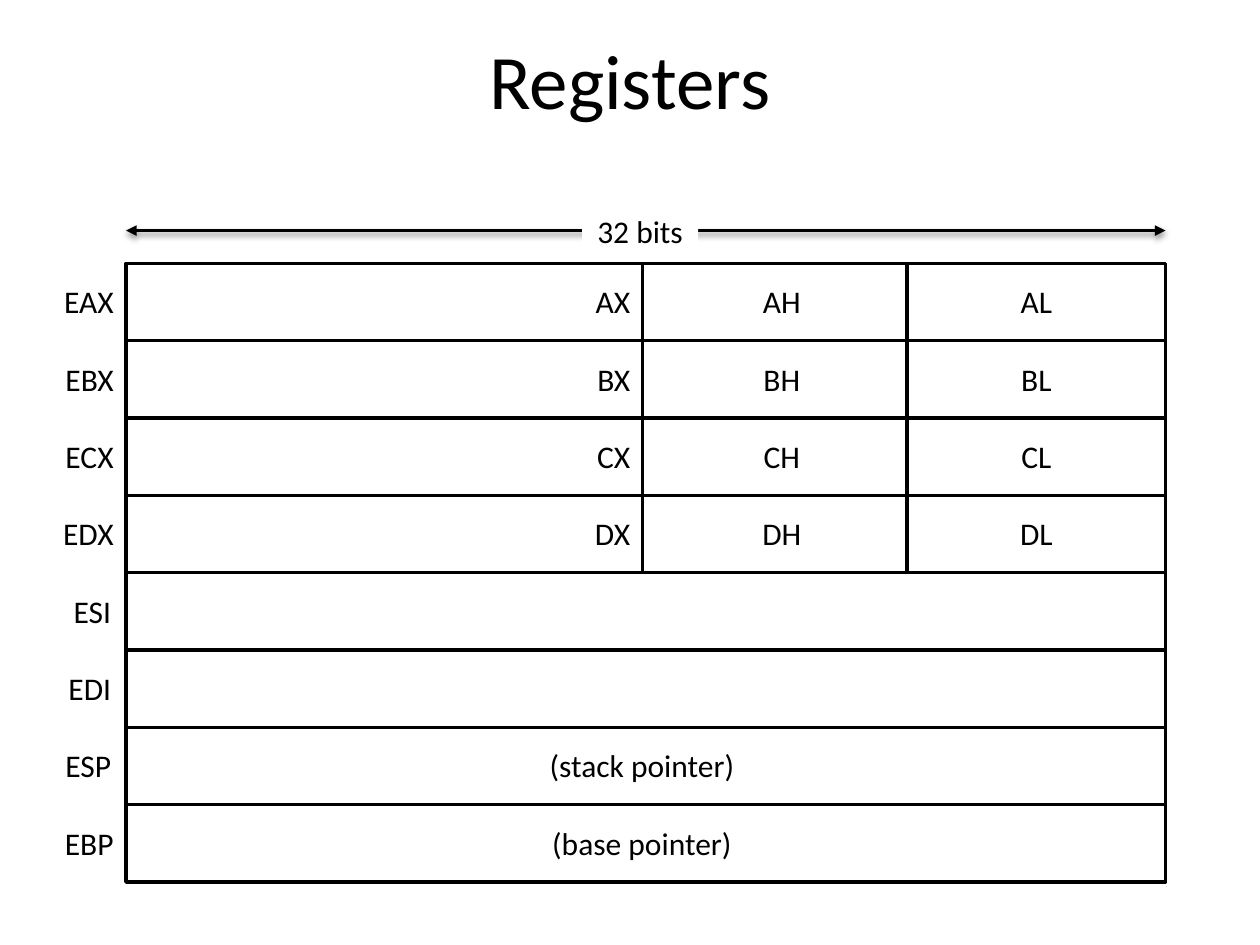
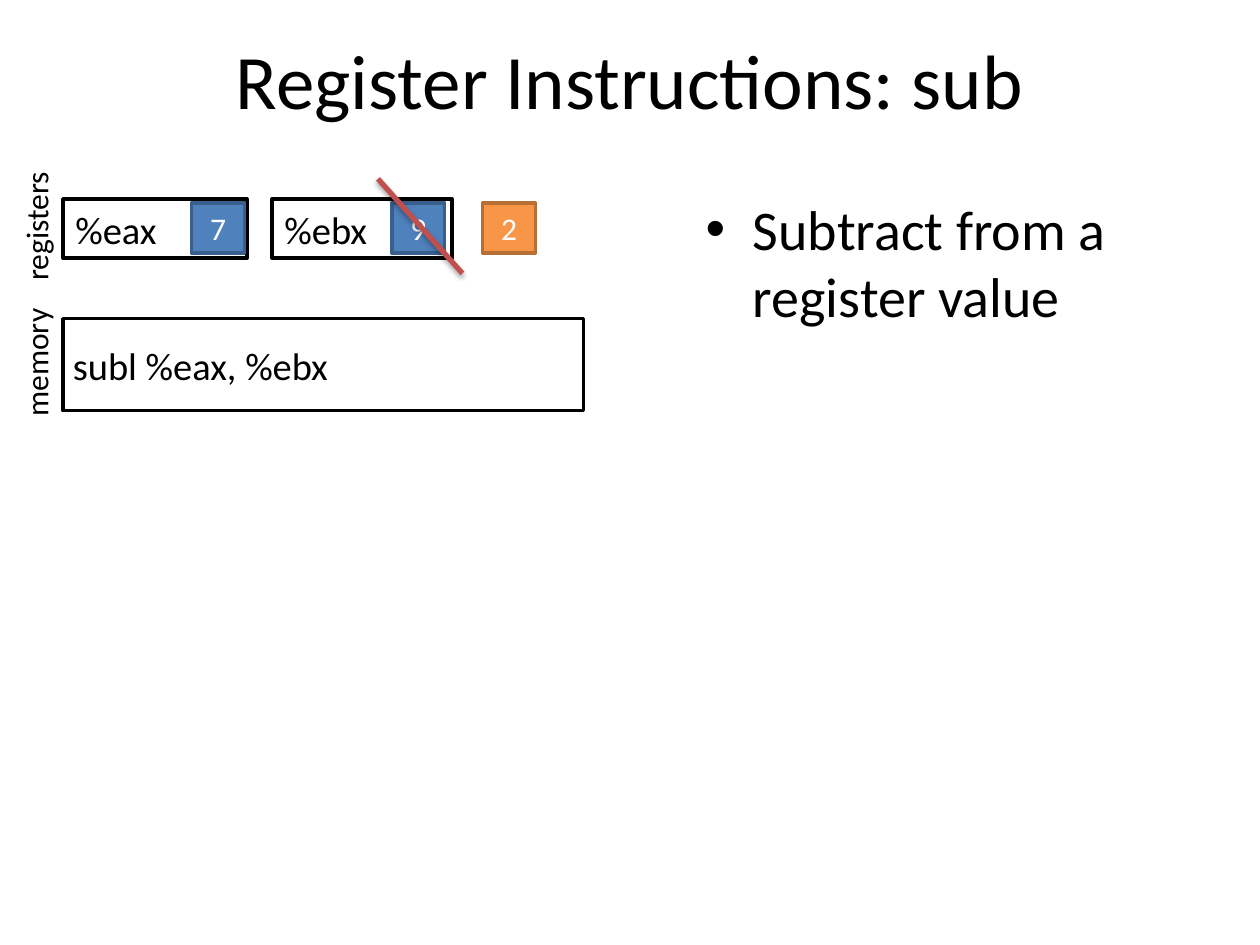
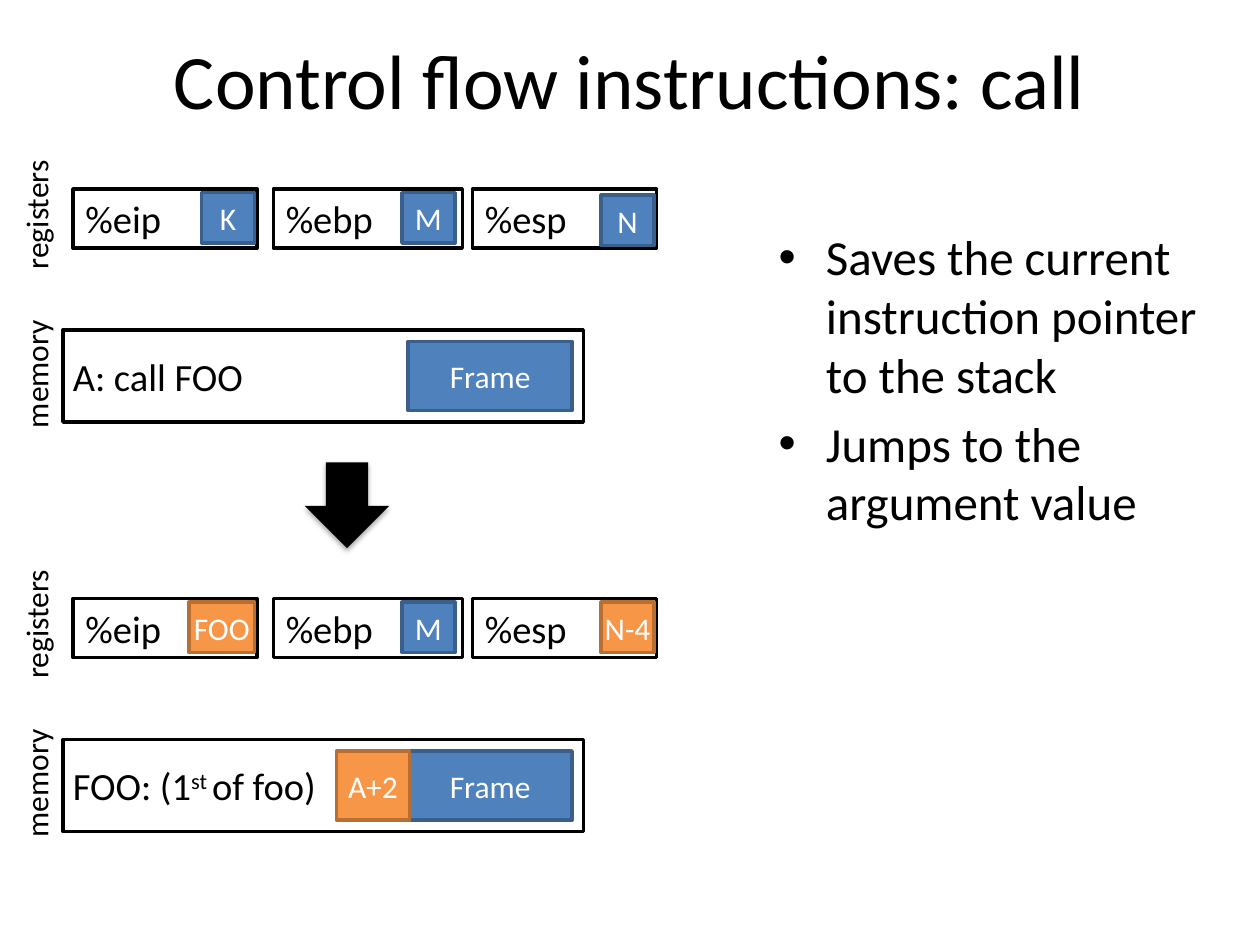
import pptx
import pptx.util
import pptx.dml.color
import pptx.enum.shapes
import pptx.enum.text
import pptx.oxml
import pptx.oxml.ns

Inches = pptx.util.Inches
Pt = pptx.util.Pt
KIND = pptx.enum.shapes.MSO_SHAPE
ALIGN = pptx.enum.text.PP_ALIGN
MIDDLE = pptx.enum.text.MSO_ANCHOR.MIDDLE

FONT = "Calibri"
COLORS = {
    "ink": "000000", "paper": "FFFFFF", "strike": "C0504D",
    "old": "4F81BD", "old edge": "3A5F8C",
    "new": "F79646", "new edge": "B76F34",
}


def color(name):
    return pptx.dml.color.RGBColor.from_string(COLORS[name])


def style(font, size, ink="ink"):
    font.name = FONT
    font.size = Pt(size)
    font.color.rgb = color(ink)


def write(shape, text, size=18, ink="ink", align=ALIGN.CENTER,
          wrap=True, side=0.1):
    """Fill a shape with one line; a list gives (text, raised) runs."""
    frame = shape.text_frame
    frame.word_wrap = wrap
    frame.vertical_anchor = MIDDLE
    frame.margin_left = frame.margin_right = Inches(side)
    para = frame.paragraphs[0]
    para.alignment = align
    for part, raised in [(text, False)] if isinstance(text, str) else text:
        run = para.add_run()
        run.text = part
        if raised:
            run._r.get_or_add_rPr().set("baseline", "30000")
    style(para.font, size, ink)


def label(shapes, text, left, top, width, height=0.4, **look):
    item = shapes.add_textbox(*map(Inches, (left, top, width, height)))
    write(item, text, **look)
    return item


def box(shapes, left, top, width, height, fill="paper", edge="ink",
        kind=KIND.RECTANGLE):
    item = shapes.add_shape(kind, *map(Inches, (left, top, width, height)))
    item.shadow.inherit = False
    item.fill.solid()
    item.fill.fore_color.rgb = color(fill)
    if edge:
        item.line.color.rgb = color(edge)
        item.line.width = Pt(2)
    else:
        item.line.fill.background()
    return item


def cast(item, alpha):
    """Give a shape or connector a soft shadow straight below it."""
    props = item._element.spPr
    effects = props.find(pptx.oxml.ns.qn("a:effectLst"))
    if effects is None:
        effects = pptx.oxml.parse_xml(
            f'<a:effectLst {pptx.oxml.ns.nsdecls("a")}/>')
        props.append(effects)
    effects.append(pptx.oxml.parse_xml(
        f'<a:outerShdw {pptx.oxml.ns.nsdecls("a")} blurRad="{Pt(3.1)}" '
        f'dist="{Pt(1.7)}" dir="5400000" rotWithShape="0">'
        f'<a:srgbClr val="{COLORS["ink"]}"><a:alpha val="{alpha * 1000}"/>'
        '</a:srgbClr></a:outerShdw>'))


def line(shapes, start, end, ink, width, alpha, arrows=False):
    item = shapes.add_connector(
        pptx.enum.shapes.MSO_CONNECTOR.STRAIGHT,
        *map(Inches, (*start, *end)))
    item.line.color.rgb = color(ink)
    item.line.width = Pt(width)
    if arrows:
        for tag in ("headEnd", "tailEnd"):
            item.line._get_or_add_ln().append(pptx.oxml.parse_xml(
                f'<a:{tag} {pptx.oxml.ns.nsdecls("a")} type="triangle"/>'))
    cast(item, alpha)


def value(shapes, text, left, top, width=0.42, height=0.4, hue="old"):
    item = box(shapes, left, top, width, height, hue, hue + " edge")
    write(item, text, ink="paper", side=0)


def cell(slide, name, text, left, top, width=1.46, shift=1.02, drop=0.03,
         size=0.42, hue="old"):
    """A named register with the value it holds."""
    group = slide.shapes.add_group_shape().shapes
    write(box(group, left, top, width, 0.47), name, 22, align=ALIGN.LEFT)
    value(group, text, left + shift, top + drop, size, hue=hue)


def memory(slide, code, top, width):
    box(slide.shapes, 0.5, top, 4.13, 0.73)
    label(slide.shapes, code, 0.48, top + 0.13, width, 0.47, size=22,
          align=ALIGN.LEFT, wrap=False)


def captions(slide, top, store):
    """Upright names beside the registers and the memory."""
    for text, y in (("registers", top), ("memory", store + 0.14)):
        item = label(slide.shapes, text, -0.25, y, 1.07, align=ALIGN.LEFT,
                     wrap=False)
        item.rotation = 270


def place(item, left, top, width, height):
    item.left, item.top = Inches(left), Inches(top)
    item.width, item.height = Inches(width), Inches(height)


def start(deck, title, layout=5):
    slide = deck.slides.add_slide(deck.slide_layouts[layout])
    head = slide.shapes.title
    place(head, 0.5, 0, 9, 1.25)
    write(head, title, 44)
    return slide


def bullets(slide, items, size, *area):
    body = slide.placeholders[1]
    place(body, *area)
    body.text_frame.text = "\n".join(items)
    for para in body.text_frame.paragraphs:
        style(para.font, size)


def registers(deck):
    slide = start(deck, "Registers")
    shapes = slide.shapes
    first, step = 2.09, (7 - 2.09) / 8
    notes = {"ESP": "(stack pointer)", "EBP": "(base pointer)"}
    names = ("EAX", "EBX", "ECX", "EDX", "ESI", "EDI", "ESP", "EBP")
    for row, name in enumerate(names):
        top = first + row * step
        text = top + 0.1
        split = name.endswith("X")
        spans = ((1, 4.1), (5.1, 4.1), (7.2, 2.05)) if split else ((1, 8.25),)
        for left, width in spans:
            box(shapes, left, top, width, step)
        inset = 0.23 if name in ("ESI", "EDI", "ESP") else 0.25
        label(shapes, name, inset, text, 0.75, align=ALIGN.RIGHT)
        if split:
            label(shapes, name[1:], 4.35, text, 0.75, align=ALIGN.RIGHT)
            label(shapes, name[1] + "H", 5.83, text, 0.75)
            label(shapes, name[1] + "L", 7.85, text, 0.75)
        elif name in notes:
            label(shapes, notes[name], 4.18, text, 1.83)

    # Width of a register
    line(shapes, (1, 1.83), (9.25, 1.83), "ink", 2, 38, arrows=True)
    write(box(shapes, 4.62, 1.63, 0.92, 0.4, edge=None), "32 bits")


def subtract(deck):
    slide = start(deck, "Register Instructions: sub", 1)
    bullets(slide, ["Subtract from a register value"], 32,
            5.5, 1.49, 4.42, 4.95)
    captions(slide, 1.59, 2.53)
    cell(slide, "%eax", "7", 0.5, 1.58)
    memory(slide, "subl %eax, %ebx", 2.53, 2.25)
    cell(slide, "%ebx", "9", 2.16, 1.58, 1.43, 0.95)

    # The result replaces the struck value
    line(slide.shapes, (3, 1.42), (3.67, 2.17), "strike", 3, 35)
    value(slide.shapes, "2", 3.83, 1.61, hue="new")


def call(deck):
    slide = start(deck, "Control flow instructions: call", 1)
    bullets(slide, ["Saves the current instruction pointer to the stack",
                    "Jumps to the argument value"], 28,
            6.08, 1.75, 3.92, 4.95)

    # States before and after the call
    before = (1.5, "A: call FOO", 1.57,
              {"text": "K"}, {"text": "N", "drop": 0.05})
    after = (4.75, [("FOO: (1", False), ("st ", True), ("of foo)", False)],
             2.2, {"text": "FOO", "shift": 0.92, "size": 0.52, "hue": "new"},
             {"text": "N-4", "hue": "new"})
    for top, code, width, eip, esp in (before, after):
        store = top + 1.12
        captions(slide, top, store)
        cell(slide, "%eip", left=0.58, top=top, **eip)
        cell(slide, "%ebp", "M", 2.17, top, 1.5)
        cell(slide, "%esp", left=3.75, top=top, **esp)
        memory(slide, code, store, width)
        value(slide.shapes, "Frame", 3.24, store + 0.09, 1.3, 0.55)

    # Pushed return address, and the step between the states
    value(slide.shapes, "A+2", 2.67, 5.96, 0.58, 0.55, "new")
    cast(box(slide.shapes, 2.42, 3.67, 0.67, 0.68, "ink", None,
             KIND.DOWN_ARROW), 35)


def main():
    deck = pptx.Presentation()
    deck.slide_width, deck.slide_height = Inches(10), Inches(7.5)
    registers(deck)
    subtract(deck)
    call(deck)
    deck.save("out.pptx")


if __name__ == "__main__":
    main()
